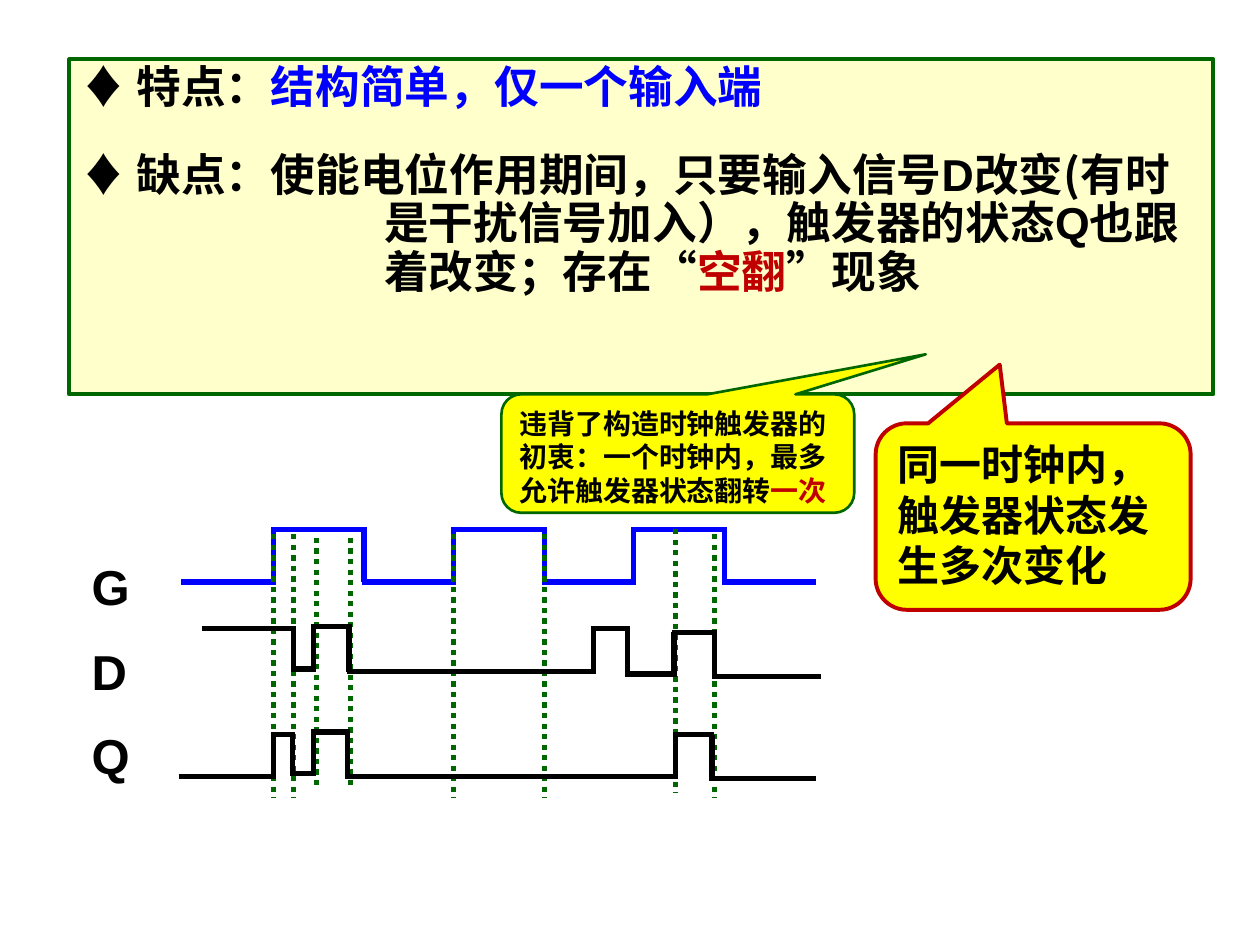
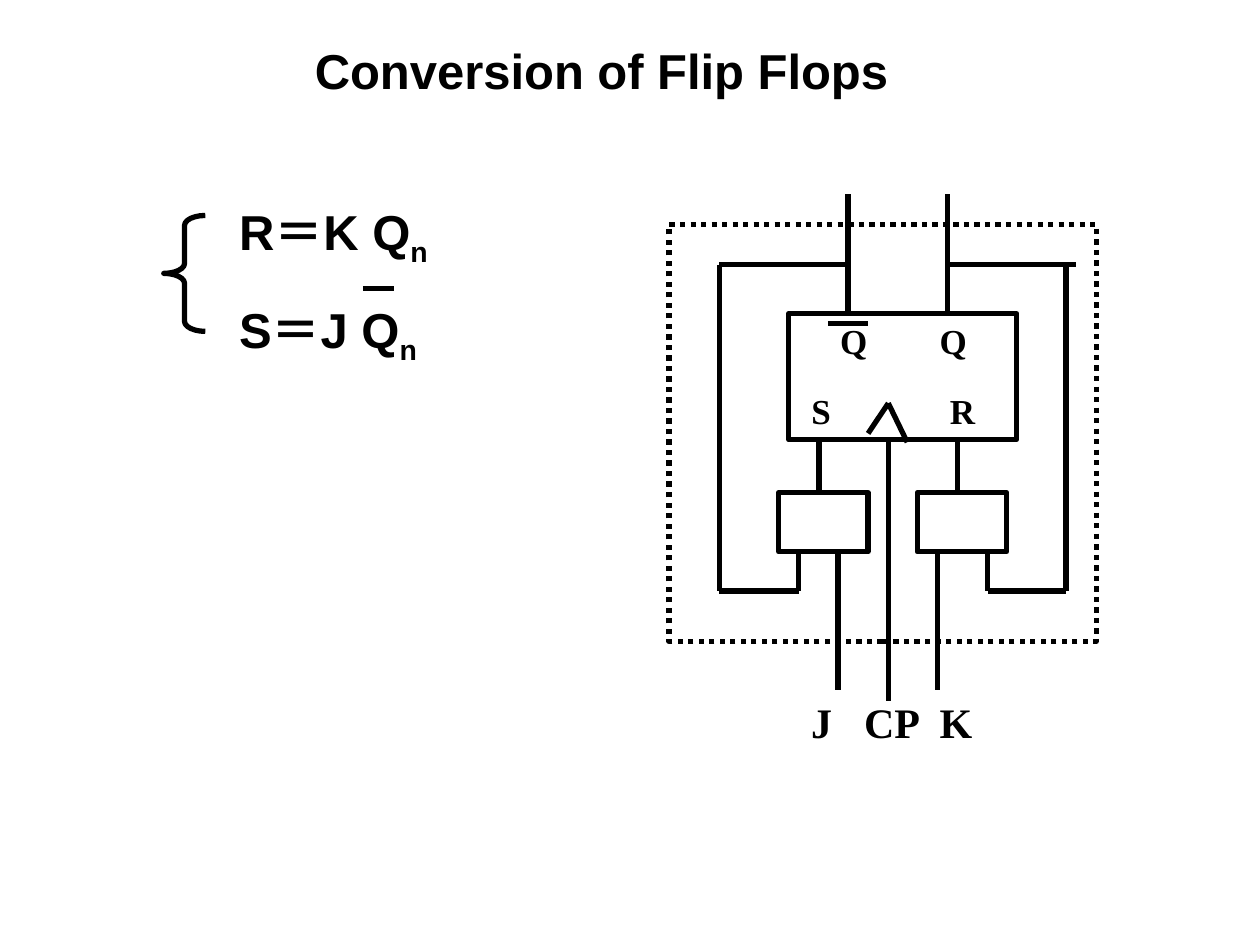
import dataclasses
import itertools
import typing

import lxml.etree
import pptx
import pptx.dml.color
import pptx.enum.dml
import pptx.enum.shapes
import pptx.enum.text
import pptx.oxml.ns
import pptx.util

PX = 9144
COLORS = {"black": "000000", "blue": "0000FF", "green": "006600",
          "red": "C00000", "cream": "FFFFCC", "yellow": "FFFF00"}
SANS, SERIF, HAN = "Arial", "Times New Roman", "Noto Sans CJK SC"
SHAPES = pptx.enum.shapes.MSO_SHAPE
DOTTED = pptx.enum.dml.MSO_LINE.ROUND_DOT


def rgb(color):
    """Look up a named colour."""
    return pptx.dml.color.RGBColor.from_string(COLORS[color])


def add_child(parent, tag, **attributes):
    """Append a drawing element to a parent element."""
    return lxml.etree.SubElement(parent, pptx.oxml.ns.qn(tag), attributes)


def style_line(line, color, width, dash=None):
    """Set the colour, width and dash of a line."""
    line.color.rgb = rgb(color)
    line.width = pptx.util.Pt(width)
    if dash:
        line.dash_style = dash


def add_span(para, text, size, font=SANS, color="black", subscript=False):
    """Add one bold run to a paragraph."""
    span = para.add_run()
    span.text = text
    span.font.size = pptx.util.Pt(size)
    span.font.bold = True
    span.font.color.rgb = rgb(color)
    span.font.name = font
    properties = span.font._element
    if font == HAN:
        add_child(properties, "a:ea", typeface=font)
    if subscript:
        properties.set("baseline", "-25000")


def write(frame, paragraphs, size, font=SANS, space=0, spacing=None, hang=0):
    """Fill a text frame with left-aligned paragraphs given as lists of runs."""
    frame.word_wrap = True
    frame.vertical_anchor = pptx.enum.text.MSO_ANCHOR.TOP
    for index, runs in enumerate(paragraphs):
        para = frame.add_paragraph() if index else frame.paragraphs[0]
        para.alignment = pptx.enum.text.PP_ALIGN.LEFT
        para.space_before = pptx.util.Pt(space)
        if spacing:
            para.line_spacing = spacing
        if hang:
            properties = para._p.get_or_add_pPr()
            properties.set("marL", str(hang * PX))
            properties.set("indent", str(-hang * PX))
        for text, options in runs:
            add_span(para, text, size, **{"font": font, **options})


@dataclasses.dataclass
class Area:
    """Place parts relative to the top left corner of a region."""

    shapes: typing.Any
    left: int
    top: int

    def place(self, box):
        """Turn a box in px into slide lengths."""
        left, top, width, height = box
        return [PX * n for n in (self.left + left, self.top + top, width, height)]

    def line(self, start, end, color="black", dash=None):
        """Draw a straight line."""
        ends = [PX * n for n in (self.left + start[0], self.top + start[1],
                                 self.left + end[0], self.top + end[1])]
        connector = self.shapes.add_connector(
            pptx.enum.shapes.MSO_CONNECTOR.STRAIGHT, *ends)
        style_line(connector.line, color, 3, dash)
        add_child(connector._element.spPr, "a:effectLst")

    def shape(self, kind, box, fill=None, color="black", width=3, dash=None, adjust=()):
        """Draw a preset shape."""
        shape = self.shapes.add_shape(kind, *self.place(box))
        shape.shadow.inherit = False
        if fill:
            shape.fill.solid()
            shape.fill.fore_color.rgb = rgb(fill)
        else:
            shape.fill.background()
        style_line(shape.line, color, width, dash)
        for index, value in enumerate(adjust):
            shape.adjustments[index] = value
        return shape

    def text(self, box, paragraphs, size, **options):
        """Add a text box."""
        frame = self.shapes.add_textbox(*self.place(box)).text_frame
        write(frame, paragraphs, size, **options)
        return frame

    def wave(self, start, levels, color="black"):
        """Draw a square wave from pairs of level and end."""
        previous = None
        for level, end in levels:
            if previous is not None:
                self.line((start, previous), (start, level), color)
            self.line((start - 2, level), (end + 2, level), color)
            start, previous = end, level


def draw_features(page, left, top):
    """Draw the panel with the strong and weak points."""
    panel = Area(page.shapes, left, top).shape(
        SHAPES.RECTANGLE, (0, 0, 908, 266), "cream", "green", 2.25)
    write(panel.text_frame, [
        [("♦ 特点：", {}), ("结构简单，仅一个输入端", {"color": "blue"})],
        [("♦ 缺点：使能电位作用期间，只要输入信号", {}), ("D", {"font": SANS}),
         ("改变(有时是干扰信号加入），触发器的状态", {}), ("Q", {"font": SANS}),
         ("也跟着改变；存在“", {}), ("空翻", {"color": "red"}), ("”现象", {})],
    ], 25.5, font=HAN, space=22.5, spacing=0.9, hang=240)


def draw_callout(page, box, tip, color, width, runs, size):
    """Draw a yellow callout with its text."""
    callout = Area(page.shapes, *box[:2]).shape(
        SHAPES.ROUNDED_RECTANGULAR_CALLOUT, (0, 0, *box[2:]), "yellow", color,
        width, adjust=(*tip, 0.167))
    write(callout.text_frame, [runs], size, font=HAN)


def draw_timing(page, left, top):
    """Draw the waves of G, D and Q with their guides."""
    labels = Area(page.shapes, left, top)
    for index, name in enumerate("GDQ"):
        labels.text((0, 17 + 67 * index, 83, 57), [[(name, {})]], 28, space=17.5)

    def wave(*args):
        """Draw a wave in a group of its own."""
        Area(page.shapes.add_group_shape().shapes, left, top).wave(*args)

    pulses = [(154 + 143 * n, 226 + 143 * n) for n in range(3)]
    steps = [[(42, rise), (0, fall)] for rise, fall in pulses]
    wave(83, [*itertools.chain(*steps), (42, 583)], "blue")
    for x, start, end in ((154, 4, 213), (170, 4, 213), (188, 7, 207),
                          (215, 7, 207), (297, 4, 213), (369, 4, 213),
                          (504, 4, 213), (473, 0, 209)):
        labels.line((x, start), (x, end), "green", DOTTED)
    wave(81, [(196, 154), (163, 169), (194, 186), (161, 213),
              (196, 473), (163, 502), (198, 583)])
    wave(99, [(79, 170), (111, 186), (77, 214), (113, 408),
              (79, 435), (115, 472), (82, 504), (117, 587)])


def draw_circuit(page, left, top):
    """Draw the flip-flop with its gates, feedback and pins."""
    area = Area(page.shapes.add_group_shape().shapes, left, top)
    for box in ((95, 95, 181, 100), (87, 237, 71, 47), (197, 237, 71, 47)):
        area.shape(SHAPES.RECTANGLE, box)
    clock = [((174, 166), (158, 190)), ((174, 166), (189, 197)),
             ((174, 197), (174, 402))]
    pins = [((x, start), (x, end)) for x, start, end in (
        (134, 284, 394), (213, 284, 394), (142, 95, 0), (221, 95, 0),
        (119, 197, 237), (229, 197, 237))]
    feedback = [((221, 56), (323, 56)), ((40, 56), (142, 56))]
    for rail, gate in ((315, 253), (40, 103)):
        feedback += [((rail, 56), (rail, 315)), ((gate, 284), (gate, 315)),
                     ((min(rail, gate), 315), (max(rail, gate), 315))]
    for start, end in clock + pins + feedback:
        area.line(start, end)
    for name, x, y in (("Q", 126, 95), ("S", 103, 150),
                       ("Q", 205, 95), ("R", 213, 150)):
        area.text((x, y, 39, 44), [[(name, {})]], 20, font=SERIF)
    area.line((126, 103), (158, 103))
    inputs = area.text((103, 394, 157, 50), [[("J\tCP\tK", {})]], 24, font=SERIF)
    stops = add_child(inputs.paragraphs[0]._p.get_or_add_pPr(), "a:tabLst")
    for stop in (42, 102):
        add_child(stops, "a:tab", pos=str(stop * PX), algn="l")
    area.shape(SHAPES.RECTANGLE, (0, 24, 339, 331), dash=DOTTED)


def draw_equations(page, left, top):
    """Write the two equations beside a brace."""
    area = Area(page.shapes.add_group_shape().shapes, left, top)
    area.text((50, 0, 233, 141),
              [[(text, {}), ("n", {"subscript": True})] for text in ("R＝K Q", "S＝J Q")],
              28, space=17.5)
    area.shape(SHAPES.LEFT_BRACE, (0, 16, 33, 92), adjust=(0.24, 0.5))
    area.line((158, 74), (183, 74))


def build_latch(page):
    """Build the slide on the latch and its waves."""
    draw_features(page, 55, 47)
    draw_callout(page, (695, 336, 250, 148), (-0.106, -0.815), "red", 2.25,
                 [("同一时钟内，触发器状态发生多次变化", {})], 24)
    draw_timing(page, 63, 420)
    draw_callout(page, (398, 313, 280, 94), (0.703, -0.838), "green", 1.5,
                 [("违背了构造时钟触发器的初衷：一个时钟内，最多允许触发器状态翻转", {}),
                  ("一次", {"color": "red"})], 16)


def build_conversion(page):
    """Build the slide on converting flip-flops."""
    draw_circuit(page, 531, 154)
    draw_equations(page, 130, 155)
    Area(page.shapes, 240, 27).text(
        (0, 0, 496, 57), [[("Conversion of Flip Flops", {})]], 28, space=17.5)


def main():
    """Build and save the deck."""
    deck = pptx.Presentation()
    deck.slide_width, deck.slide_height = 1000 * PX, 750 * PX
    for build in (build_latch, build_conversion):
        build(deck.slides.add_slide(deck.slide_layouts[6]))
    deck.save("out.pptx")


if __name__ == "__main__":
    main()
